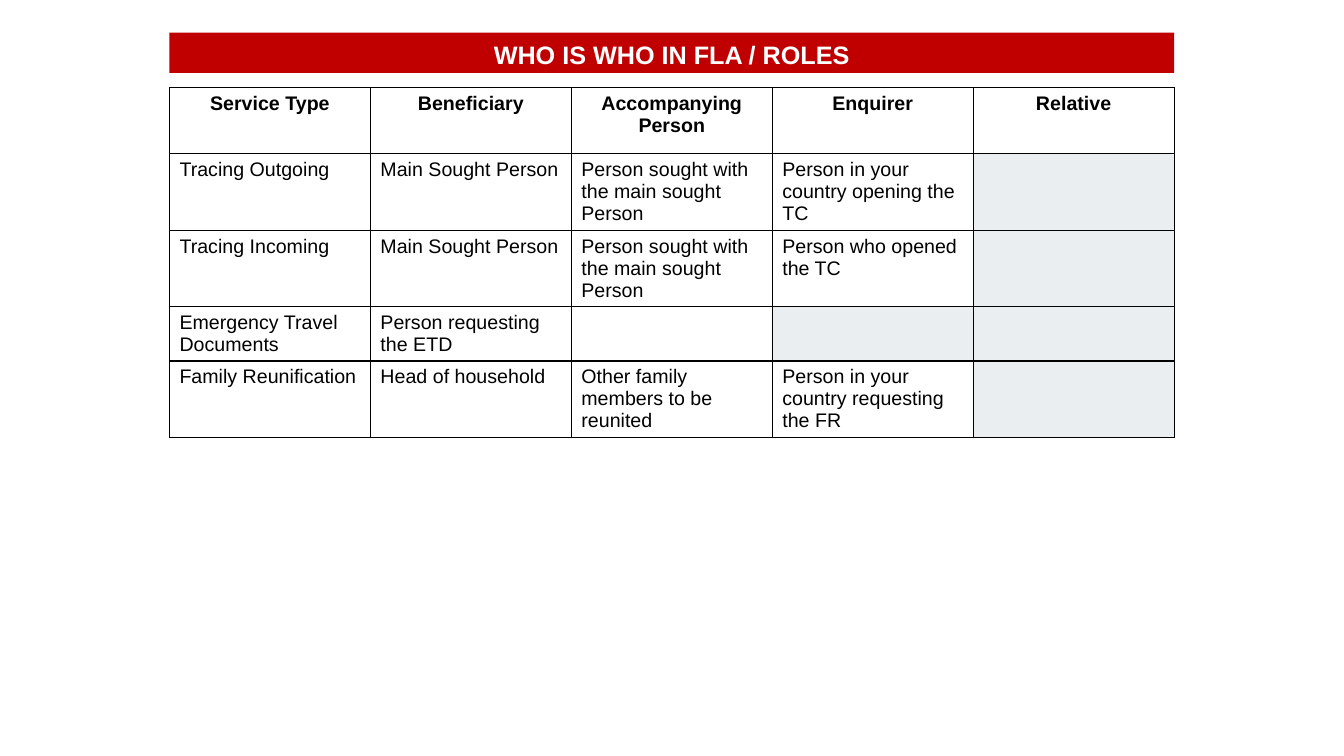
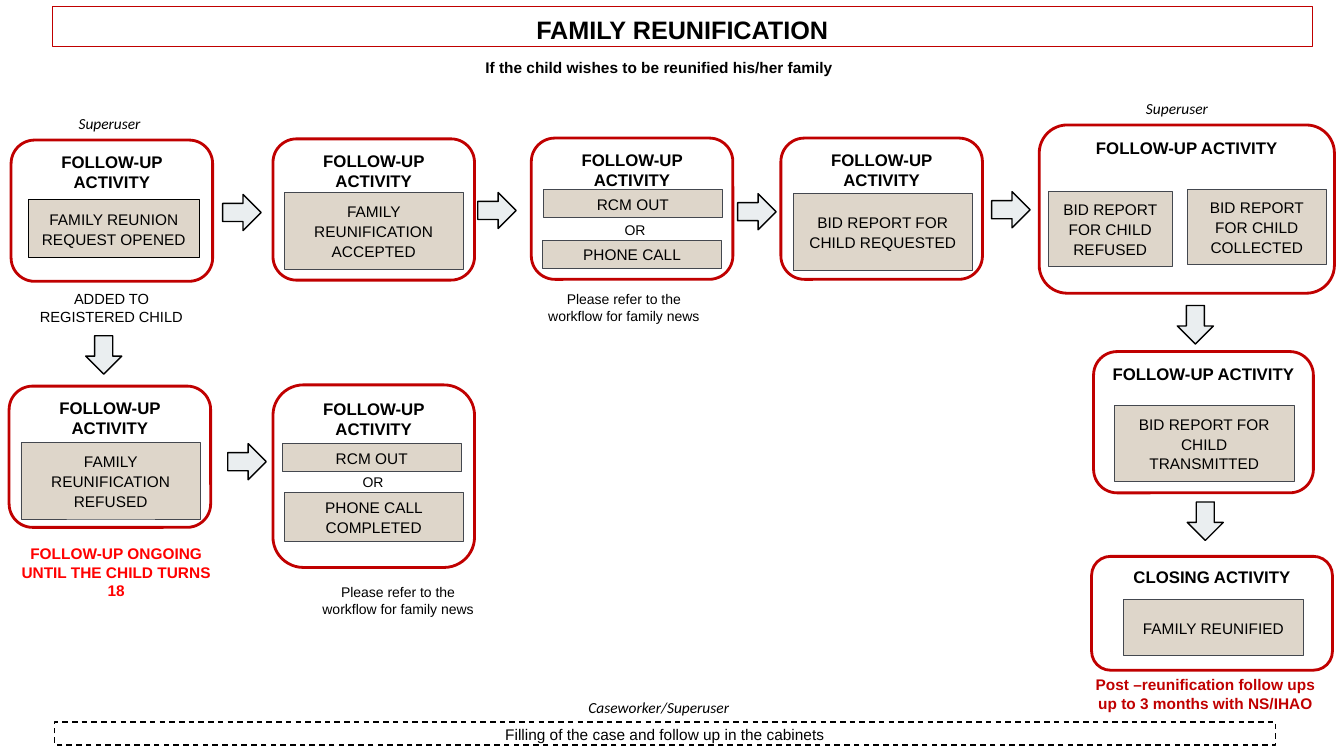
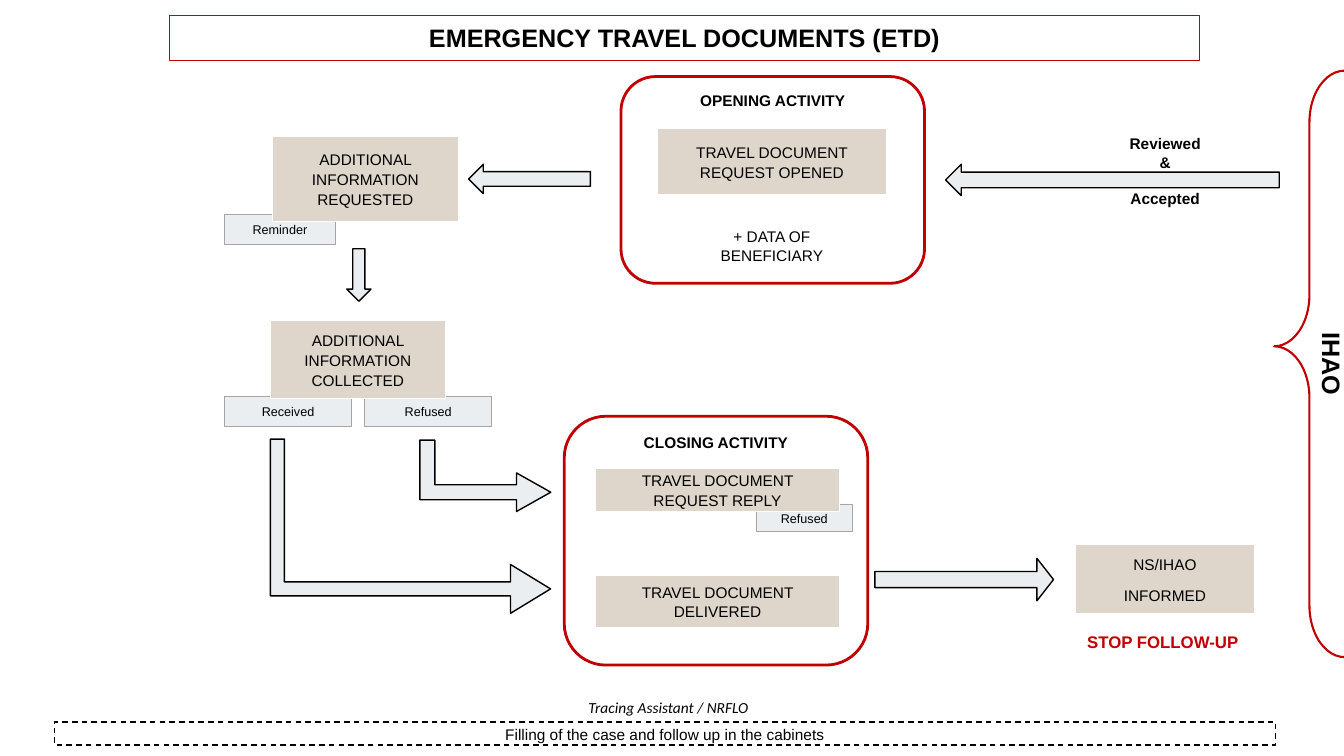
import pptx
import pptx.util
import pptx.dml.color
import pptx.enum.dml
import pptx.enum.shapes
import pptx.enum.text
import pptx.oxml

Cm, Pt = pptx.util.Cm, pptx.util.Pt
RGBColor = pptx.dml.color.RGBColor
KIND = pptx.enum.shapes.MSO_SHAPE
ALIGN = pptx.enum.text.PP_ALIGN
ANCHOR = pptx.enum.text.MSO_ANCHOR
DASH = pptx.enum.dml.MSO_LINE.DASH

BLACK = RGBColor(0, 0, 0)
WHITE = RGBColor(255, 255, 255)
RED = RGBColor(0xC0, 0, 0)
ALERT = RGBColor(0xFF, 0, 0)
SAND = RGBColor(0xDE, 0xD6, 0xCA)
MIST = RGBColor(0xEA, 0xEE, 0xF0)
SLATE = RGBColor(0x44, 0x48, 0x4F)
GREY = RGBColor(0xA5, 0xA5, 0xA5)

# Formats: shape kind, fill, line (colour, points), then font and paragraph values
FONT = {"name": "Arial", "size": Pt(11), "bold": False, "italic": False}
PARA = {"alignment": ALIGN.CENTER}
LOOSE = {"line_spacing": 1.07, "space_after": Pt(8)}
BOLD = {"bold": True}
TITLE = {"font": {"size": Pt(18), "bold": True}, "para": LOOSE, "anchor": ANCHOR.TOP}
FRAME = {"kind": KIND.ROUNDED_RECTANGLE, "line": (RED, 2), "anchor": ANCHOR.TOP,
         "font": {"size": Pt(12), "bold": True}}
STAGE = {**FRAME, "font": BOLD}
CARD = {"kind": KIND.RECTANGLE, "fill": SAND, "line": (SLATE, 0.5), "para": LOOSE}
FIRST = {**CARD, "line": (BLACK, 0.5)}
PLAIN = {**CARD, "line": (WHITE, 0.5)}
TAB = {**CARD, "fill": MIST, "line": (GREY, 0.5), "font": {"size": Pt(9)}}
FOOT = {**CARD, "fill": WHITE, "line": (BLACK, 1), "dash": DASH.DASH}
ARROW = {"fill": MIST, "line": (BLACK, 1)}
RIGHT = {**ARROW, "kind": KIND.RIGHT_ARROW}
LEFT = {**ARROW, "kind": KIND.LEFT_ARROW}
DOWN = {**ARROW, "kind": KIND.DOWN_ARROW}
LONG = {**RIGHT, "adjust": (0.38, 0.39)}
BENT = {**ARROW, "kind": KIND.BENT_UP_ARROW, "turn": 90}
DEEP = {**BENT, "adjust": (0.08, 0.14, 0.23)}
SHORT = {**BENT, "adjust": (0.21, 0.27, 0.48)}
BRACE = {"kind": KIND.LEFT_BRACE, "fill": WHITE, "line": (RED, 1.5),
         "adjust": (0.73, 0.47), "vert": "vert", "font": {"size": Pt(18), "bold": True}}
NOTE = {"font": {"size": Pt(10)}}
ADDED = {"font": {"size": Pt(10.5)}}
OR = {**NOTE, "para": {"alignment": ALIGN.LEFT}}
ROLE = {"font": {"name": "Calibri", "italic": True}, "wrap": False,
        "para": {"alignment": ALIGN.LEFT}}
LEAD = {"font": BOLD}
LABEL = {"font": BOLD, "para": {"space_after": Pt(13)}}
TOP = {"anchor": ANCHOR.TOP}
WARN = {**TOP, "font": BOLD, "color": ALERT}
POST = {"font": BOLD, "color": RED}
STOP = {**TOP, "font": {"size": Pt(12), "bold": True}, "color": RED,
        "para": {"alignment": ALIGN.LEFT}}

# Content: lengths in centimetres
GRID = [
    ["Service Type", "Beneficiary", "Accompanying Person", "Enquirer", "Relative"],
    ["Tracing Outgoing", "Main Sought Person", "Person sought with the main sought Person",
     "Person in your country opening the TC", None],
    ["Tracing Incoming", "Main Sought Person", "Person sought with the main sought Person",
     "Person who opened the TC", None],
    ["Emergency Travel Documents", "Person requesting the ETD", "", None, None],
    ["Family Reunification", "Head of household", "Other family members to be reunited",
     "Person in your country requesting the FR", None],
]
ROWS = [1.66, 1.93, 1.93, 1.36, 1.93]
WIDE = 25.32

AGENCY = "IHAO"
STEP, CLOSE = "FOLLOW-UP ACTIVITY", "CLOSING ACTIVITY"
REFER = "Please refer to the workflow for family news"
BOX = (5.08, 3.56)
BIG, SLIM = (4.52, 1.93), (4.52, 0.71)
ACROSS, ALONG = (0.97, 0.91), (0.91, 0.97)

# Each part: format, left, top, (width, height), text or paragraphs
REUNION = [
    (FRAME, 0.28, 3.53, BOX, STEP),
    (FRAME, 6.88, 3.5, BOX, STEP),
    (FRAME, 13.39, 3.48, BOX, STEP),
    (FRAME, 19.68, 3.48, BOX, STEP),
    (FRAME, 26.19, 3.15, (7.44, 4.24), STEP),
    (FRAME, 0.23, 9.73, BOX, STEP),
    (FRAME, 6.88, 9.7, (5.08, 4.6), STEP),
    (FRAME, 27.56, 8.86, (5.54, 3.56), STEP),
    (FRAME, 27.51, 14.02, (6.07, 2.87), CLOSE),
    (FIRST, 0.71, 5.03, (4.32, 1.45), "FAMILY REUNION REQUEST OPENED"),
    (CARD, 7.16, 4.85, BIG, "FAMILY REUNIFICATION ACCEPTED"),
    (CARD, 13.69, 4.78, SLIM, "RCM OUT"),
    (CARD, 13.67, 6.05, SLIM, "PHONE CALL"),
    (CARD, 19.99, 4.88, BIG, "BID REPORT FOR CHILD REQUESTED"),
    (CARD, 26.42, 4.83, (3.12, 1.88), "BID REPORT FOR CHILD REFUSED"),
    (CARD, 29.92, 4.78, (3.51, 1.88), "BID REPORT FOR CHILD COLLECTED"),
    (CARD, 28.09, 10.21, BIG, "BID REPORT FOR CHILD TRANSMITTED"),
    (CARD, 28.32, 15.11, (4.52, 1.4), "FAMILY REUNIFIED"),
    (CARD, 0.53, 11.15, BIG, "FAMILY REUNIFICATION REFUSED"),
    (CARD, 7.11, 11.18, SLIM, "RCM OUT"),
    (CARD, 7.16, 12.4, (4.52, 1.24), "PHONE CALL COMPLETED"),
    (RIGHT, 5.61, 4.9, ACROSS, ""),
    (RIGHT, 12.04, 4.85, ACROSS, ""),
    (RIGHT, 18.59, 4.88, ACROSS, ""),
    (RIGHT, 24.99, 4.83, ACROSS, ""),
    (RIGHT, 5.74, 11.18, ACROSS, ""),
    (DOWN, 2.16, 8.46, ALONG, ""),
    (DOWN, 29.67, 7.7, ALONG, ""),
    (DOWN, 29.92, 12.65, ALONG, ""),
    (LEAD, 11.23, 1.32, (10.77, 0.74), "If the child wishes to be reunified his/her family"),
    (ROLE, 1.73, 2.74, (2.08, 0.74), "Superuser"),
    (ROLE, 28.63, 2.36, (2.08, 0.74), "Superuser"),
    (ADDED, 0.69, 7.19, (4.24, 1.14), "ADDED TO REGISTERED CHILD"),
    (NOTE, 13.46, 7.19, (4.52, 1.12), REFER),
    (NOTE, 7.77, 14.58, (4.52, 1.12), REFER),
    (OR, 15.49, 5.46, (1.14, 0.69), "OR"),
    (OR, 8.89, 11.79, (1.14, 0.69), "OR"),
    (WARN, 0.2, 13.59, (5.46, 1.68), "FOLLOW-UP ONGOING UNTIL THE CHILD TURNS 18"),
    (POST, 27.13, 16.89, (6.5, 1.19),
     f"Post –reunification follow ups up to 3 months with NS/{AGENCY}"),
]
TRAVEL = [
    (STAGE, 14.22, 10.49, (7.65, 6.27), CLOSE),
    (STAGE, 15.65, 1.93, (7.65, 5.21), "OPENING ACTIVITY"),
    (TAB, 5.66, 5.41, (2.79, 0.74), "Reminder"),
    (TAB, 5.66, 9.98, (3.2, 0.76), "Received"),
    (TAB, 9.19, 9.98, (3.2, 0.76), "Refused"),
    (TAB, 19.05, 12.7, (2.44, 0.69), "Refused"),
    (PLAIN, 16.56, 3.23, (5.79, 1.68), "TRAVEL DOCUMENT REQUEST OPENED"),
    (PLAIN, 6.86, 3.43, (4.7, 2.16), "ADDITIONAL INFORMATION\nREQUESTED"),
    (PLAIN, 6.81, 8.08, (4.42, 1.96), "ADDITIONAL INFORMATION\nCOLLECTED"),
    (PLAIN, 15.01, 11.81, (6.15, 1.07), "TRAVEL DOCUMENT REQUEST REPLY"),
    (PLAIN, 15.01, 14.5, (6.15, 1.3), "TRAVEL DOCUMENT DELIVERED"),
    (PLAIN, 27.1, 13.72, (4.52, 1.75), [f"NS/{AGENCY}", "INFORMED"]),
    (LEFT, 11.81, 4.14, (3.07, 0.74), ""),
    (LEFT, 23.83, 4.14, (8.41, 0.79), ""),
    (DOWN, 8.74, 6.27, (0.61, 1.32), ""),
    (LONG, 22.05, 14.07, (4.5, 1.07), ""),
    (DEEP, 8.15, 9.73, (4.39, 7.06), ""),
    (SHORT, 11.33, 10.34, (1.8, 3.3), ""),
    (BRACE, 32.11, 1.78, (1.78, 14.78), AGENCY),
    (TOP, 16.56, 5.61, (5.79, 1.19), "+ DATA OF\nBENEFICIARY"),
    (LABEL, 28.07, 3.25, (2.59, 2.13), ["Reviewed &", "Accepted"]),
    (STOP, 27.15, 15.8, (4.8, 0.76), "STOP FOLLOW-UP"),
]


def assign(thing, values):
    for key, value in values.items():
        setattr(thing, key, value)


def write(frame, text, form):
    """Fill a text frame; a list gives one paragraph per item."""
    assign(frame, {"word_wrap": form.get("wrap", True),
                   "auto_size": pptx.enum.text.MSO_AUTO_SIZE.NONE,
                   "vertical_anchor": form.get("anchor", ANCHOR.MIDDLE)})
    for at, line in enumerate([text] if isinstance(text, str) else text):
        para = frame.add_paragraph() if at else frame.paragraphs[0]
        para.text = line
        assign(para, {**PARA, **form.get("para", {})})
        for run in para.runs:
            assign(run.font, {**FONT, **form.get("font", {})})
            run.font.color.rgb = form.get("color", BLACK)


def paint(shape, fill=None, line=None, dash=None):
    if fill is not None:
        shape.fill.solid()
        shape.fill.fore_color.rgb = fill
    else:
        shape.fill.background()
    if line:
        shape.line.color.rgb = line[0]
        shape.line.width = Pt(line[1])
        if dash:
            shape.line.dash_style = dash
    else:
        shape.line.fill.background()


def place(slide, form, left, top, size, text):
    box = [Cm(n) for n in (left, top, *size)]
    if "kind" in form:
        shape = slide.shapes.add_shape(form["kind"], *box)
        shape.shadow.inherit = False
        paint(shape, form.get("fill"), form.get("line"), form.get("dash"))
        shape.rotation = form.get("turn", 0)
        for at, value in enumerate(form.get("adjust", ())):
            shape.adjustments[at] = value
    else:
        shape = slide.shapes.add_textbox(*box)
    if text:
        write(shape.text_frame, text, form)
    if "vert" in form:
        shape.text_frame._txBody.bodyPr.set("vert", form["vert"])


def start(deck, text, box, fill=None, line=None, color=BLACK):
    """Add a title-only slide with its title bar."""
    slide = deck.slides.add_slide(deck.slide_layouts[5])
    bar = slide.shapes.title
    assign(bar, dict(zip(("left", "top", "width", "height"), map(Cm, box))))
    paint(bar, fill, line)
    write(bar.text_frame, text, {**TITLE, "color": color})
    return slide


def finish(slide, role, width):
    """Add the filing band and the role above it."""
    place(slide, ROLE, 14.58, 17.45, (width, 0.74), role)
    place(slide, FOOT, 1.37, 18.19, (30.78, 0.58),
          "Filling of the case and follow up in the cabinets")


def edge(cell):
    props = cell._tc.get_or_add_tcPr()
    for at, side in enumerate(("lnL", "lnR", "lnT", "lnB")):
        props.insert(at, pptx.oxml.parse_xml(
            f'<a:{side} xmlns:a="http://schemas.openxmlformats.org/drawingml/2006/main"'
            f' w="{Pt(1)}"><a:solidFill><a:srgbClr val="{BLACK}"/></a:solidFill></a:{side}>'))


def tabulate(slide):
    table = slide.shapes.add_table(len(GRID), len(GRID[0]), Cm(4.27), Cm(2.21),
                                   Cm(WIDE), Cm(sum(ROWS))).table
    assign(table, {"first_row": False, "horz_banding": False})
    for col in table.columns:
        col.width = Cm(WIDE / len(GRID[0]))
    for y, line in enumerate(GRID):
        table.rows[y].height = Cm(ROWS[y])
        form = {"font": {"size": Pt(14), "bold": y == 0},
                "para": {"alignment": ALIGN.LEFT if y else ALIGN.CENTER}}
        for x, text in enumerate(line):
            cell = table.cell(y, x)
            cell.fill.solid()
            cell.fill.fore_color.rgb = MIST if text is None else WHITE
            edge(cell)
            if text:
                write(cell.text_frame, text, form)
                cell.vertical_anchor = ANCHOR.TOP


def main():
    deck = pptx.Presentation()
    assign(deck, {"slide_width": Cm(33.87), "slide_height": Cm(19.05)})

    roles = start(deck, "WHO IS WHO IN FLA / ROLES", (4.27, 0.82, WIDE, 1.02),
                  fill=RED, color=WHITE)
    tabulate(roles)

    flows = [
        ("FAMILY REUNIFICATION", (1.32, 0.17, 31.75, 1), REUNION,
         "Caseworker/Superuser", 4.09),
        ("EMERGENCY TRAVEL DOCUMENTS (ETD)", (4.27, 0.38, 25.96, 1.14), TRAVEL,
         "Tracing Assistant / NRFLO", 4.6),
    ]
    for title, box, parts, role, width in flows:
        slide = start(deck, title, box, line=(RED, 0.5))
        for part in parts:
            place(slide, *part)
        finish(slide, role, width)

    deck.save("out.pptx")


if __name__ == "__main__":
    main()
